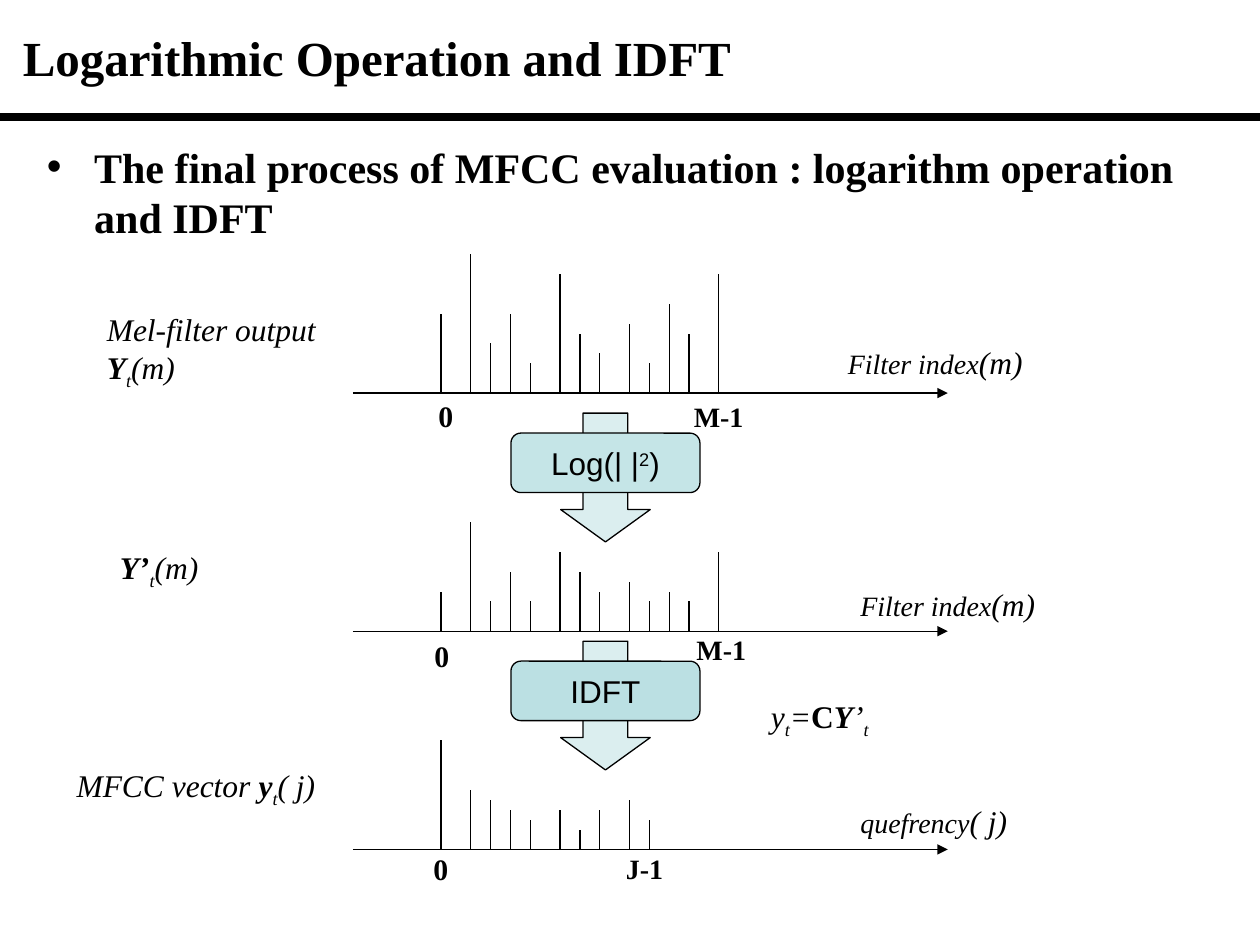
from lxml import etree
from pptx import Presentation
from pptx.dml.color import RGBColor
from pptx.enum.shapes import MSO_CONNECTOR as CONN, MSO_SHAPE as SHAPE
from pptx.enum.text import MSO_ANCHOR as ANCHOR, MSO_AUTO_SIZE as AUTO, PP_ALIGN as ALIGN
from pptx.oxml.ns import qn
from pptx.util import Pt

COLORS = {"ink": "000000", "arrow": "D2EAEC", "log": "C5E5E7", "idft": "BBE0E3"}
SERIF, SANS = "Times New Roman", "Arial"

# Run formats
ITALIC = {"size": Pt(18), "italic": True}
SMALL = {"size": Pt(16), "italic": True}
BOLD_ITALIC = {**ITALIC, "bold": True}
SUB = {**ITALIC, "baseline": -25000}
OP = {"size": Pt(18), "name": SANS}
SUPER = {**OP, "baseline": 30000}
ZERO = {"size": Pt(17), "bold": True}
LAST = {"size": Pt(16), "bold": True}

# Stems stand on a grid; positions and heights are counted in grid units
UNIT = 5.67
STEM_UNITS = [0, 3, 5, 7, 9, 12, 14, 16, 19, 21, 23, 25, 28]
MEL_HEIGHTS = [8, 14, 5, 8, 3, 12, 6, 4, 7, 3, 9, 6, 12]
LOG_HEIGHTS = [4, 11, 3, 6, 3, 8, 6, 4, 5, 3, 4, 3, 8]
MFCC_HEIGHTS = [11, 6, 5, 4, 3, 4, 2, 4, 5, 3]


def rgb(name):
    return RGBColor.from_string(COLORS[name])


def place(sp, box):
    for side, value in zip(("left", "top", "width", "height"), box):
        setattr(sp, side, Pt(value))


def add_runs(p, runs):
    for text, fmt in runs:
        if text == "\n":
            p.add_line_break()
            continue
        r = p.add_run()
        r.text = text
        r.font.color.rgb = rgb("ink")
        for key, value in {"name": SERIF, **fmt}.items():
            if key == "baseline":
                r._r.get_or_add_rPr().set(key, str(value))
            else:
                setattr(r.font, key, value)


def add_line(s, start, end, width=0.75, arrow=False):
    line = s.shapes.add_connector(CONN.STRAIGHT, *map(Pt, start + end))
    line.line.color.rgb = rgb("ink")
    line.line.width = Pt(width)
    if arrow:
        etree.SubElement(line.line._get_or_add_ln(), qn("a:tailEnd"), type="triangle")
    etree.SubElement(line._element.spPr, qn("a:effectLst"))


def add_label(s, box, runs, wrap=False, align=ALIGN.LEFT):
    tf = s.shapes.add_textbox(*map(Pt, box)).text_frame
    tf.word_wrap = wrap
    tf.auto_size = AUTO.SHAPE_TO_FIT_TEXT
    p = tf.paragraphs[0]
    p.alignment = align
    add_runs(p, runs)


def add_block(s, kind, box, fill):
    sp = s.shapes.add_shape(kind, *map(Pt, box))
    sp.shadow.inherit = False
    sp.fill.solid()
    sp.fill.fore_color.rgb = rgb(fill)
    sp.line.color.rgb = rgb("ink")
    sp.line.width = Pt(0.75)
    return sp


def add_title(s, box, text):
    title = s.shapes.title
    place(title, box)
    tf = title.text_frame
    tf.auto_size, tf.vertical_anchor = AUTO.NONE, ANCHOR.MIDDLE
    p = tf.paragraphs[0]
    p.alignment = ALIGN.LEFT
    add_runs(p, [(text, {"size": Pt(28), "bold": True})])
    add_line(s, (0, 67), (720, 67), 4.5)


def add_body(s, box, text):
    body = s.placeholders[1]
    place(body, box)
    tf = body.text_frame
    tf.auto_size = AUTO.NONE
    p = tf.paragraphs[0]
    p.space_before = Pt(0)
    pPr = p._p.get_or_add_pPr()
    pPr.set("marL", str(Pt(27)))
    pPr.set("indent", str(Pt(-27)))
    etree.SubElement(pPr, qn("a:buChar"), char="•")
    add_runs(p, [(text, {"size": Pt(24), "bold": True})])


def add_spectrum(s, box, heights):
    """Axis along the bottom of the box, with one stem for each height."""
    left, top, width, height = box
    base = top + height
    add_line(s, (left, base), (left + width, base), arrow=True)
    for unit, stem in zip(STEM_UNITS, heights):
        x = left + 50.4 + unit * UNIT
        add_line(s, (x, base), (x, base - stem * UNIT))


def add_operation(s, box, fill, runs):
    """Down arrow with a rounded box across its shaft."""
    left, top, width, height = box
    arrow = add_block(s, SHAPE.DOWN_ARROW, (left + width / 2 - 25.6, top, 51.2, height), "arrow")
    arrow.adjustments[0], arrow.adjustments[1] = 0.5, 0.361
    color = arrow.fill._xPr.find(qn("a:solidFill"))[0]
    etree.SubElement(color, qn("a:alpha"), val="80000")

    block = add_block(s, SHAPE.ROUNDED_RECTANGLE, (left, top + 11.4, width, 34), fill)
    tf = block.text_frame
    tf.word_wrap, tf.vertical_anchor = False, ANCHOR.MIDDLE
    p = tf.paragraphs[0]
    p.alignment = ALIGN.CENTER
    add_runs(p, runs)


def main():
    prs = Presentation()
    prs.slide_width, prs.slide_height = Pt(720), Pt(540)
    s = prs.slides.add_slide(prs.slide_layouts[1])

    # Heading and bullet
    add_title(s, (5.8, 5.8, 708.5, 54), "Logarithmic Operation and IDFT")
    add_body(s, (19.6, 77, 664.6, 405.4),
             "The final process of MFCC evaluation : logarithm operation and IDFT")

    # Three spectra
    for base, heights in ((224.6, MEL_HEIGHTS), (360.7, LOG_HEIGHTS), (485.4, MFCC_HEIGHTS)):
        add_spectrum(s, (201.6, base - 80, 340, 80), heights)

    # Operations between the spectra
    add_operation(s, (292, 236.1, 108, 73.6), "log",
                  [("Log(| |", OP), ("2", SUPER), (")", OP)])
    add_operation(s, (292, 366.4, 108, 73.6), "idft", [("IDFT", OP)])

    # Names of the spectra, axis names and the transform
    index = [("Filter index", SMALL), ("(m)", ITALIC)]
    for box, runs in (
        ((54, 173.5, 139.7, 51), [("Mel-filter output ", ITALIC), ("\n", {}),
                                  ("Y", BOLD_ITALIC), ("t", SUB), ("(m)", ITALIC)]),
        ((61.4, 309.6, 60.5, 29), [("Y’", BOLD_ITALIC), ("t", SUB), ("(m)", ITALIC)]),
        ((36.7, 434.2, 151.2, 29), [("MFCC vector ", ITALIC), ("y", BOLD_ITALIC),
                                    ("t", SUB), ("( j)", ITALIC)]),
        ((477.4, 192.3, 115.2, 29), index),
        ((484.6, 330.5, 115.2, 29), index),
        ((484.6, 455, 99.4, 29), [("quefrency", SMALL), ("( j)", ITALIC)]),
        ((433.4, 394.6, 71.3, 29), [("y", ITALIC), ("t", SUB), ("=", ITALIC),
                                    ("C", {"size": Pt(18), "bold": True}),
                                    ("Y", BOLD_ITALIC), ("’", ITALIC), ("t", SUB)]),
    ):
        add_label(s, box, runs)

    # First and last index under each axis
    for left, top, width in ((243.4, 223.9, 17.3), (241.2, 360.7, 17.3), (240.5, 482.4, 25.2)):
        add_label(s, (left, top, width, 27.4), [("0", ZERO)], wrap=True)
    for text, left, top, width in (("M-1", 379.4, 224.6, 62.6), ("M-1", 380.9, 357.8, 62.6),
                                   ("J-1", 348.5, 483.1, 39.6)):
        add_label(s, (left, top, width, 26.6), [(text, LAST)], wrap=True, align=ALIGN.CENTER)

    prs.save("out.pptx")


if __name__ == "__main__":
    main()
